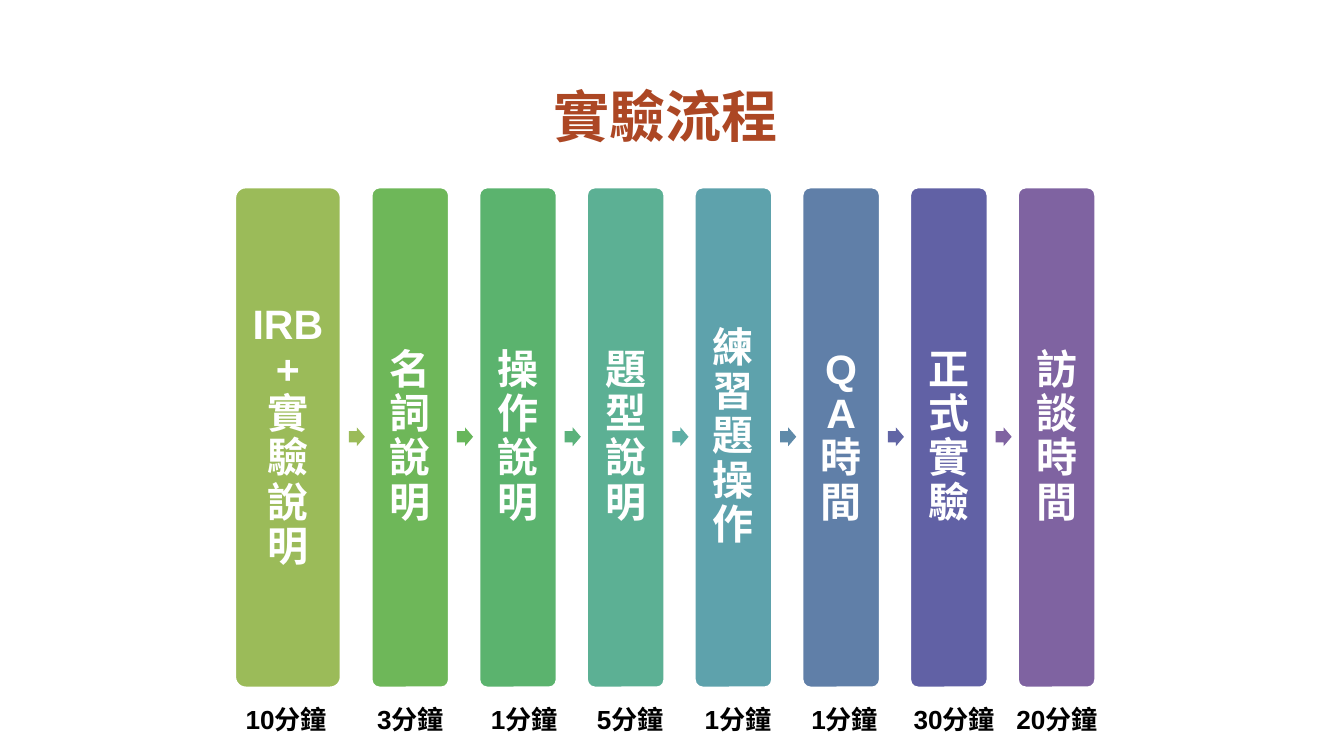
from pptx import Presentation
from pptx.dml.color import RGBColor
from pptx.enum.shapes import MSO_SHAPE
from pptx.enum.text import MSO_ANCHOR, PP_ALIGN
from pptx.util import Pt

TITLE = "實驗流程"
STEPS = [
    ("IRB+\n實驗說明", "10分鐘", 347, "9BBB59", "9BBB59"),
    ("名詞說明", "3分鐘", 532, "6EB759", "67B65A"),
    ("操作說明", "1分鐘", 701, "5BB36E", "5BB27B"),
    ("題型說明", "5分鐘", 859, "5CB094", "5DAEA5"),
    ("練習題操作", "1分鐘", 1019, "5EA2AC", "5F8AA9"),
    ("QA時間", "1分鐘", 1178, "607FA8", "6165A5"),
    ("正式實驗", "30分鐘", 1341, "6161A5", "7F63A1"),
    ("訪談時間", "20分鐘", 1494, "7F63A1", None),
]
FIRST, NEXT, PITCH = 350, 553, 160.3
WIDE, SLIM = 157, 115
TOP, TALL = 279, 744
SCALE = 9144


def px(*nums):
    return [round(n * SCALE) for n in nums]


def color(code):
    return RGBColor.from_string(code)


def write(shape, text, size, ink, inset=(0, 0), space=None, anchor=MSO_ANCHOR.TOP):
    frame = shape.text_frame
    frame.word_wrap = True
    frame.vertical_anchor = anchor
    frame.margin_left = frame.margin_right = px(inset[0])[0]
    frame.margin_top = frame.margin_bottom = px(inset[1])[0]
    para = frame.paragraphs[0]
    para.text = text
    para.alignment = PP_ALIGN.CENTER
    if space:
        para.line_spacing = space
    for run in para.runs:
        run.font.name = "Arial"
        run.font.size = Pt(size)
        run.font.bold = True
        run.font.color.rgb = color(ink)


def draw(slide, kind, box, fill, adjust):
    shape = slide.shapes.add_shape(kind, *px(*box))
    shape.shadow.inherit = False
    shape.fill.solid()
    shape.fill.fore_color.rgb = color(fill)
    shape.line.fill.background()
    for i, part in enumerate(adjust):
        shape.adjustments[i] = part
    return shape


def main():
    deck = Presentation()
    deck.slide_width, deck.slide_height = px(2000, 1125)
    slide = deck.slides.add_slide(deck.slide_layouts[6])

    title = slide.shapes.add_textbox(*px(450, 26, 1081, 101))
    write(title, TITLE, 60, "AC4724", space=1.95)

    for i, (name, time, left, fill, tip) in enumerate(STEPS):
        start = NEXT + PITCH * (i - 1) if i else FIRST
        width = SLIM if i else WIDE
        bar = draw(slide, MSO_SHAPE.ROUNDED_RECTANGLE,
                   (start, TOP, width, TALL), fill, [0.1])
        bar.line.color.rgb = color("FFFFFF")
        bar.line.width = Pt(2)
        write(bar, name, 44, "FFFFFF", inset=(18, 18), space=0.9,
              anchor=MSO_ANCHOR.MIDDLE)
        if tip:
            draw(slide, MSO_SHAPE.RIGHT_ARROW,
                 (start + width + 12, 636, 24, 28), tip, [0.6, 0.5])
        label = slide.shapes.add_textbox(*px(left, 1042, 158, 57))
        write(label, time, 28, "000000", inset=(10, 5))

    deck.save("out.pptx")


if __name__ == "__main__":
    main()
